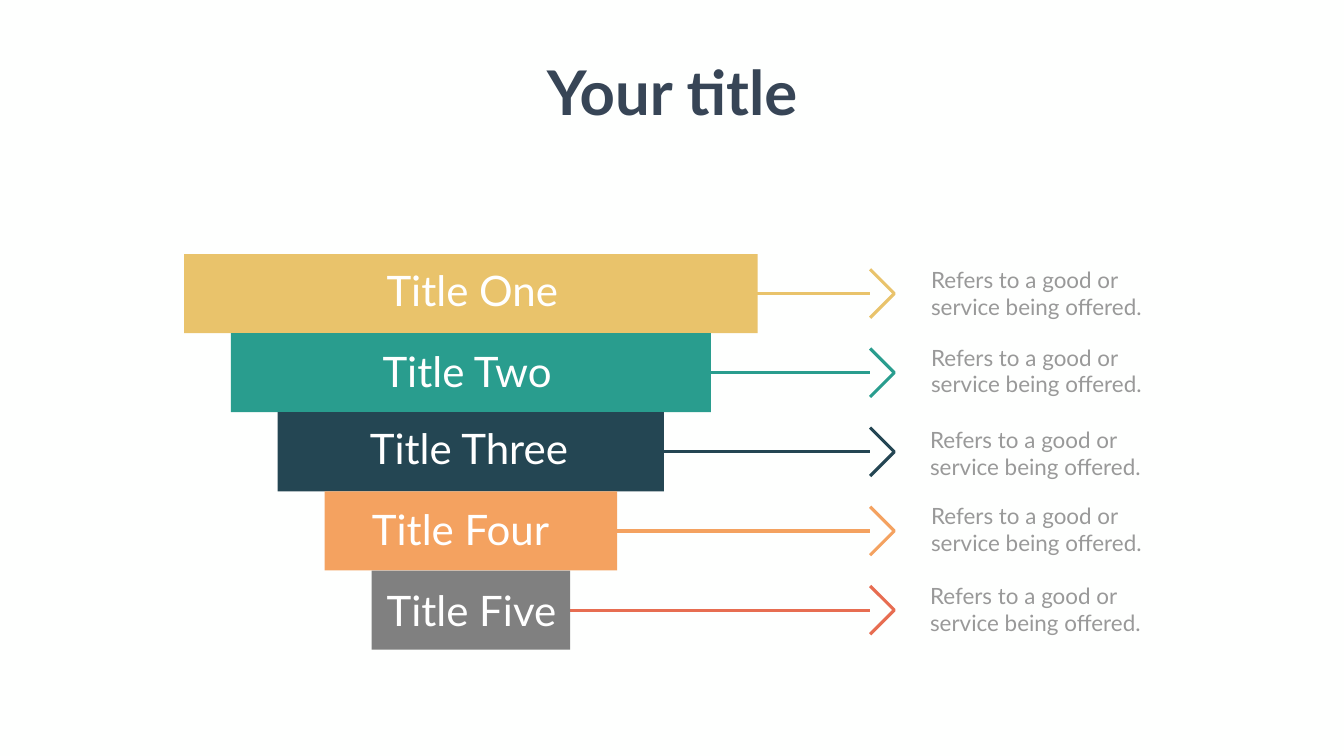
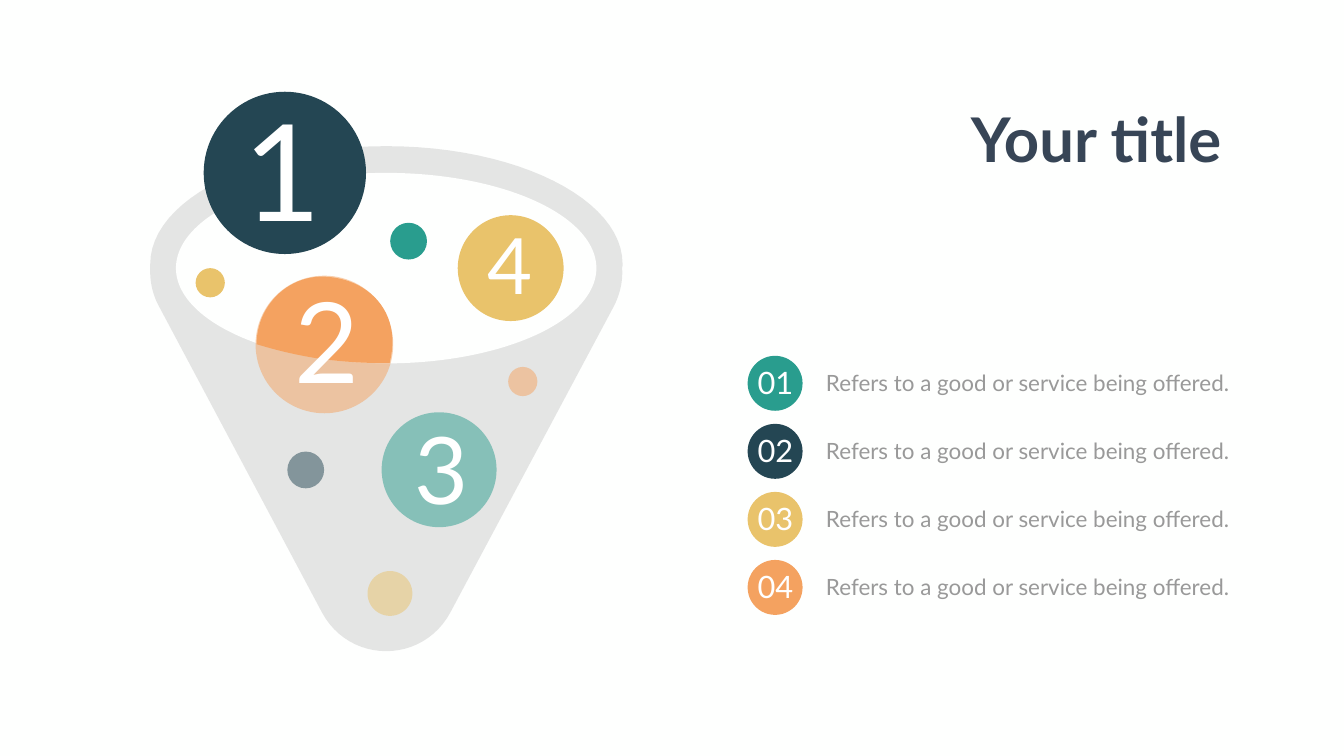
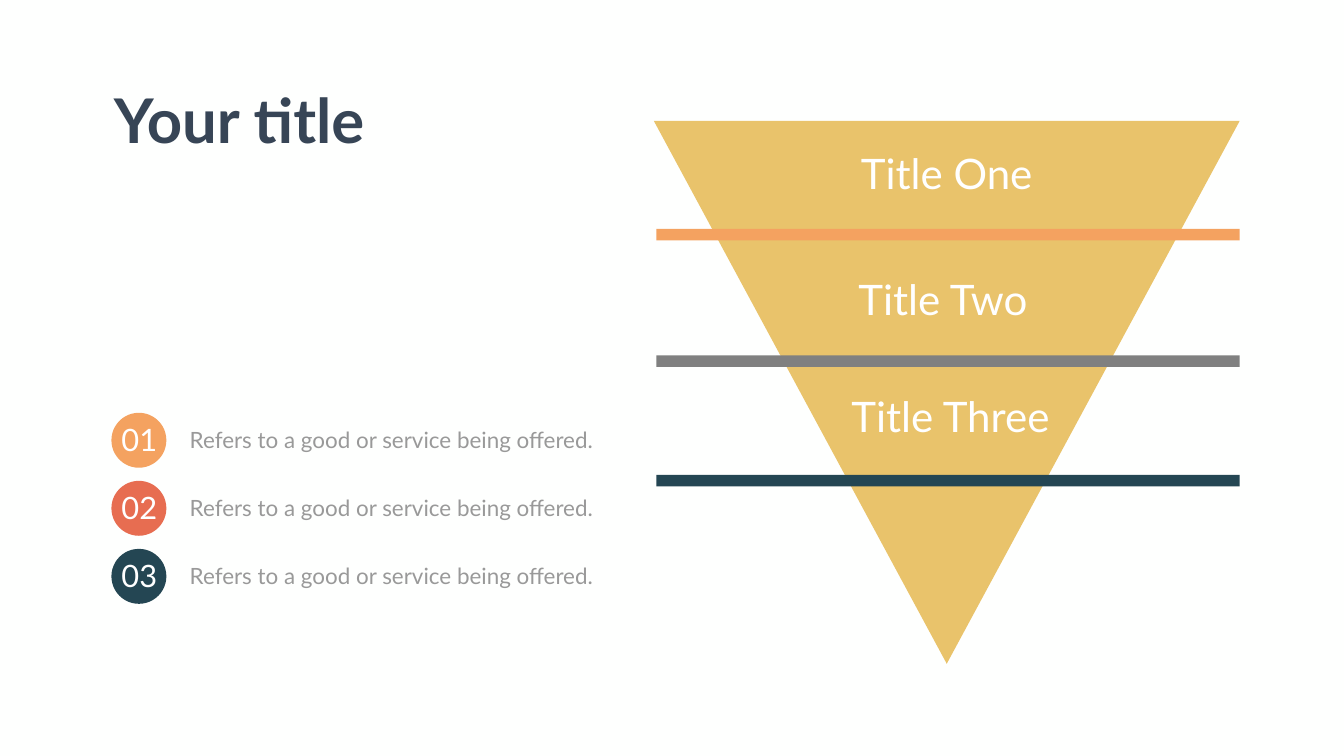
"""Build three funnel slides: stepped bars, a filled cone and a split triangle."""
from dataclasses import dataclass
from typing import Optional

from lxml.etree import SubElement
from pptx import Presentation
from pptx.dml.color import RGBColor
from pptx.enum.shapes import MSO_CONNECTOR as CONN, MSO_SHAPE as SHAPE
from pptx.enum.text import MSO_ANCHOR as ANCHOR, MSO_AUTO_SIZE as AUTO, PP_ALIGN as ALIGN
from pptx.oxml.ns import qn
from pptx.util import Inches, Pt

COLORS = {
    "paper": "FEFFFE",
    "white": "FFFFFF",
    "title": "374556",
    "caption": "999999",
    "yellow": "E9C36B",
    "teal": "299D8E",
    "navy": "244653",
    "orange": "F4A260",
    "red": "E76D51",
    "grey": "808080",
}
FONT = "Lato"
LINE_WIDTH = 4.5
CAPTION = "Refers to a good or service being offered."


@dataclass(frozen=True)
class Label:
    text: str
    left: float
    top: float
    width: float
    height: float = 1.11
    size: float = 60


@dataclass(frozen=True)
class Step:
    label: Label
    bar: str
    arrow: str
    arrow_start: float
    note_left: float
    note_top: float


@dataclass(frozen=True)
class Ball:
    left: float
    top: float
    size: float
    color: str
    alpha: Optional[int] = None


@dataclass(frozen=True)
class Stripe:
    top: float
    color: str


STEPS = [
    Step(Label("Title One", 7.57, 5.2, 3.64), "yellow", "yellow", 13.86, 18.37, 5.23),
    Step(Label("Title Two", 7.49, 6.8, 3.69), "teal", "teal", 13.86, 18.37, 6.77),
    Step(Label("Title Three", 7.24, 8.33, 4.22), "navy", "navy", 12.9, 18.35, 8.41),
    Step(Label("Title Four", 7.28, 9.95, 3.79), "orange", "orange", 11.99, 18.37, 9.92),
    Step(Label("Title Five", 7.57, 11.55, 3.61), "grey", "red", 11.16, 18.35, 11.51),
]
BALLS = [
    Ball(4.04, 1.82, 3.22, "navy"),
    Ball(7.57, 8.18, 2.28, "teal", 50),
    Ball(9.08, 4.27, 2.1, "yellow"),
    Ball(5.7, 8.96, 0.73, "navy", 50),
    Ball(7.74, 4.42, 0.73, "teal"),
    Ball(10.08, 7.28, 0.58, "orange", 50),
    Ball(3.88, 5.32, 0.58, "yellow"),
    Ball(7.29, 11.33, 0.89, "yellow", 50),
]
SUNK_BALL = Ball(5.07, 5.47, 2.73, "orange", 50)
BALL_NUMBERS = [
    Label("1", 4.73, 1.68, 1.76, 3.33, 192),
    Label("2", 5.74, 5.34, 1.5, 2.79, 160),
    Label("3", 8.12, 8.11, 1.28, 2.34, 133),
    Label("4", 9.57, 4.26, 1.1, 1.97, 111),
]
CONE = [
    (12.35, 5.24),
    (12.35, 3.95, 10.25, 2.9, 7.66, 2.9),
    (5.08, 2.9, 2.98, 3.95, 2.98, 5.24),
    (2.98, 5.26, 2.98, 5.29, 2.98, 5.31),
    (2.97, 5.57, 3.02, 5.84, 3.16, 6.09),
    (6.38, 12.14),
    (6.93, 13.18, 8.39, 13.18, 8.94, 12.14),
    (12.17, 6.09),
    (12.3, 5.84, 12.36, 5.57, 12.34, 5.31),
    (12.35, 5.29, 12.35, 5.26, 12.35, 5.24),
]
BALL_ABOVE_RIM = [
    (5.09, 6.83),
    (5.09, 6.09, 5.69, 5.46, 6.44, 5.49),
    (7.27, 5.52, 7.99, 6.16, 7.73, 7.2),
    (7.34, 7.21, 6.88, 7.19, 6.36, 7.12),
    (5.88, 7.05, 5.45, 6.94, 5.09, 6.83),
]
TRIANGLE = [(24.59, 2.4), (18.78, 13.17), (12.97, 2.4)]
STRIPES = [Stripe(4.54, "orange"), Stripe(7.05, "grey"), Stripe(9.42, "navy")]
TRIANGLE_LABELS = [
    Label("Title One", 16.98, 2.88, 3.64),
    Label("Title Two", 16.93, 5.38, 3.69),
    Label("Title Three", 16.79, 7.69, 4.22),
]


def rgb(name: str) -> RGBColor:
    return RGBColor.from_string(COLORS[name])


def paint(sp, color: str, alpha: Optional[int] = None) -> None:
    sp.shadow.inherit = False
    sp.fill.solid()
    sp.fill.fore_color.rgb = rgb(color)
    sp.line.fill.background()
    if alpha is not None:
        clr = sp._element.spPr.find(qn("a:solidFill")).find(qn("a:srgbClr"))
        SubElement(clr, qn("a:alpha")).set("val", str(alpha * 1000))


def stroke(sp, color: str) -> None:
    sp.line.color.rgb = rgb(color)
    sp.line.width = Pt(LINE_WIDTH)


def write(sp, lines: list[str], size: float, color: str, bold: bool = False,
          align: ALIGN = ALIGN.LEFT, wrap: bool = False) -> None:
    tf = sp.text_frame
    tf.word_wrap = wrap
    tf.auto_size = AUTO.SHAPE_TO_FIT_TEXT
    tf.vertical_anchor = ANCHOR.TOP
    for i, line in enumerate(lines):
        p = tf.add_paragraph() if i else tf.paragraphs[0]
        p.alignment = align
        p.line_spacing = 1.0
        r = p.add_run()
        r.text = line
        r.font.name = FONT
        r.font.size = Pt(size)
        r.font.bold = bold
        r.font.color.rgb = rgb(color)


def add_box(slide, left: float, top: float, width: float, height: float):
    return slide.shapes.add_textbox(Inches(left), Inches(top), Inches(width), Inches(height))


def add_label(slide, label: Label) -> None:
    sp = add_box(slide, label.left, label.top, label.width, label.height)
    write(sp, [label.text], label.size, "white")


def add_preset(slide, kind: SHAPE, left: float, top: float, width: float, height: float,
               color: str, alpha: Optional[int] = None) -> None:
    sp = slide.shapes.add_shape(kind, Inches(left), Inches(top), Inches(width), Inches(height))
    paint(sp, color, alpha)


def add_ball(slide, ball: Ball) -> None:
    add_preset(slide, SHAPE.OVAL, ball.left, ball.top, ball.size, ball.size,
               ball.color, ball.alpha)


def flatten(path: list[tuple], steps: int = 24) -> list[tuple]:
    points = [path[0]]
    for seg in path[1:]:
        if len(seg) == 2:
            points.append(seg)
            continue
        start = points[-1]
        for t in (n / steps for n in range(1, steps + 1)):
            u = 1 - t
            points.append(tuple(
                u**3 * start[k] + 3 * u * u * t * seg[k]
                + 3 * u * t * t * seg[k + 2] + t**3 * seg[k + 4]
                for k in (0, 1)))
    return points


def add_outline(slide, path: list[tuple], close: bool = True):
    points = [(Inches(x), Inches(y)) for x, y in flatten(path)]
    builder = slide.shapes.build_freeform(*points[0], scale=1.0)
    builder.add_line_segments(points[1:], close=close)
    return builder.convert_to_shape()


def add_arrow(slide, color: str, start: float, y: float) -> None:
    joint, reach, half = 17.26, 0.48, 0.48
    line = slide.shapes.add_connector(CONN.STRAIGHT, Inches(start), Inches(y),
                                      Inches(joint), Inches(y))
    SubElement(line._element.spPr, qn("a:effectLst"))
    stroke(line, color)
    head = add_outline(slide, [(joint, y - half), (joint + reach, y), (joint, y + half)], False)
    head.shadow.inherit = False
    head.fill.background()
    stroke(head, color)


def add_legend(slide, left: float, top: float, colors: list[str]) -> None:
    pitch, size = 1.35, 1.09
    for i, color in enumerate(colors):
        y = top + i * pitch
        add_ball(slide, Ball(left, y, size, color))
        sp = add_box(slide, left + 1.41, y + 0.22, 8.29, 0.64)
        write(sp, [CAPTION], 32, "caption", align=ALIGN.CENTER, wrap=True)
        add_label(slide, Label(f"{i + 1:02d}", left + 0.1, y + 0.11, 0.92, 0.84, 44))


def new_slide(prs, left: float, top: float, align: ALIGN = ALIGN.LEFT):
    slide = prs.slides.add_slide(prs.slide_layouts[5])
    title = slide.shapes.title
    title.left, title.top = Inches(left), Inches(top)
    title.width, title.height = Inches(5.36), Inches(1.58)
    write(title, ["Your title"], 88, "title", bold=True, align=align)
    return slide


def build_steps(prs) -> None:
    slide = new_slide(prs, 10.65, 1.01, ALIGN.CENTER)
    left, top, width, height, indent = 3.65, 5.04, 11.38, 1.57, 0.93
    for i, step in enumerate(STEPS):
        y = top + i * height
        add_arrow(slide, step.arrow, step.arrow_start, y + height / 2)
        add_preset(slide, SHAPE.RECTANGLE, left + i * indent, y,
                   width - 2 * i * indent, height, step.bar)
        add_label(slide, step.label)
        note = add_box(slide, step.note_left, step.note_top, 4.46, 1.18)
        write(note, ["Refers to a good or", "service being offered."], 32, "caption")


def build_cone(prs) -> None:
    slide = new_slide(prs, 19.16, 1.95)
    paint(add_outline(slide, CONE), "grey", 20)
    add_preset(slide, SHAPE.OVAL, 3.49, 3.43, 8.34, 3.78, "paper")
    add_ball(slide, SUNK_BALL)
    paint(add_outline(slide, BALL_ABOVE_RIM), "orange")
    for ball in BALLS:
        add_ball(slide, ball)
    for number in BALL_NUMBERS:
        add_label(slide, number)
    add_legend(slide, 14.83, 7.06, ["teal", "navy", "yellow", "orange"])


def build_triangle(prs) -> None:
    slide = new_slide(prs, 2.16, 1.57)
    paint(add_outline(slide, TRIANGLE), "yellow")
    for stripe in STRIPES:
        add_preset(slide, SHAPE.RECTANGLE, 13.02, stripe.top, 11.57, 0.23, stripe.color)
    add_legend(slide, 2.21, 8.19, ["orange", "red", "navy"])
    for label in TRIANGLE_LABELS:
        add_label(slide, label)


def main() -> None:
    prs = Presentation()
    prs.slide_width, prs.slide_height = Inches(26.66), Inches(15)
    fill = prs.slide_master.background.fill
    fill.solid()
    fill.fore_color.rgb = rgb("paper")
    build_steps(prs)
    build_cone(prs)
    build_triangle(prs)
    prs.save("out.pptx")


if __name__ == "__main__":
    main()
